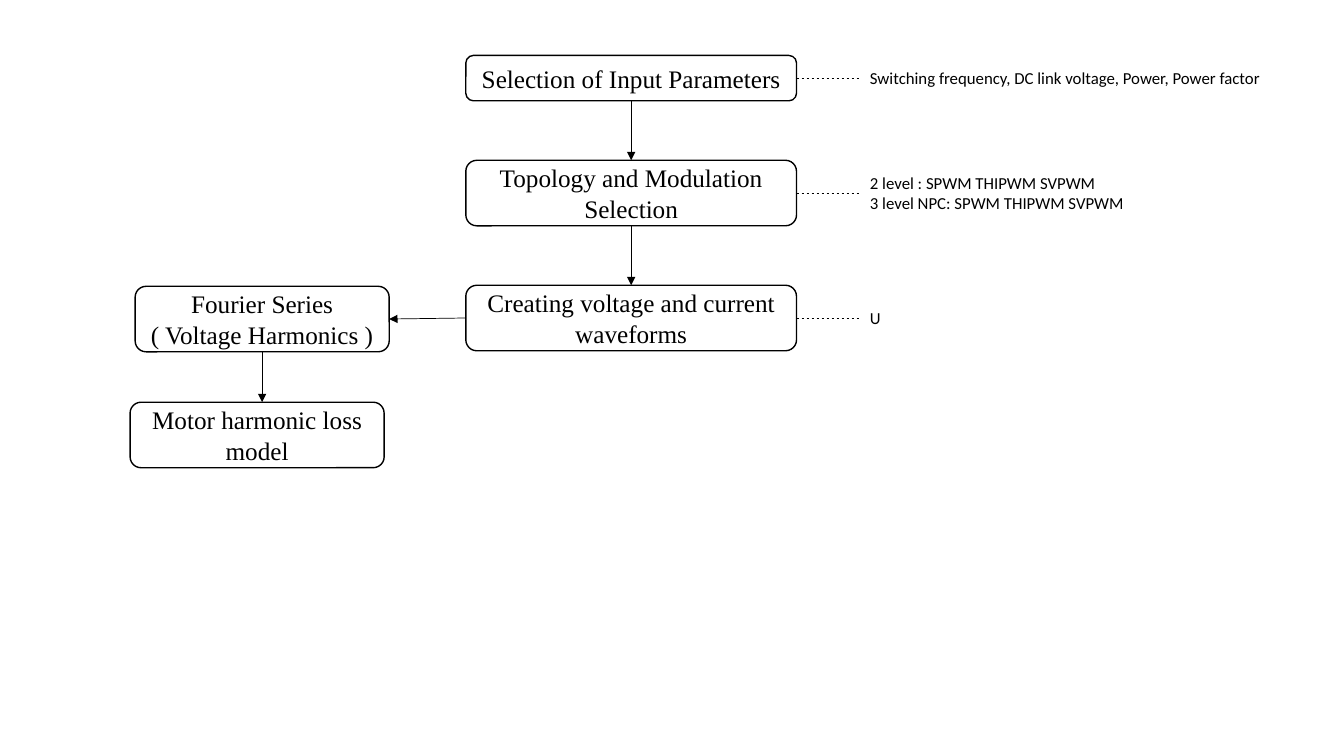
import pptx
import pptx.dml.color
import pptx.enum.dml
import pptx.enum.shapes
import pptx.enum.text
import pptx.oxml
import pptx.oxml.ns
import pptx.util
from pptx.util import Inches

COLORS = {"ink": "000000"}
TOP, LEFT, BOTTOM, RIGHT = range(4)


def ink():
    """Return the colour of lines and text."""
    return pptx.dml.color.RGBColor.from_string(COLORS["ink"])


def write_text(shape, text, font, size, align):
    """Fill a shape with one paragraph for each line of text."""
    frame = shape.text_frame
    frame.word_wrap = True
    frame.text = text
    for para in frame.paragraphs:
        para.alignment = align
        para.font.name = font
        para.font.size = pptx.util.Pt(size)
        para.font.color.rgb = ink()


def add_step(page, text, left, top, width, height=0.65):
    """Add a rounded, outlined step of the flow."""
    box = page.shapes.add_shape(
        pptx.enum.shapes.MSO_SHAPE.ROUNDED_RECTANGLE,
        Inches(left), Inches(top), Inches(width), Inches(height))
    box.shadow.inherit = False
    box.fill.background()
    box.line.color.rgb = ink()
    box.line.width = pptx.util.Pt(1)
    write_text(box, text, "Times New Roman", 18, pptx.enum.text.PP_ALIGN.CENTER)
    box.text_frame.vertical_anchor = pptx.enum.text.MSO_ANCHOR.MIDDLE
    return box


def add_line(page, start, start_side, end=None, end_side=None, drop=0, dashed=False):
    """Join two shapes, or run straight down from one by a drop in inches."""
    line = page.shapes.add_connector(pptx.enum.shapes.MSO_CONNECTOR.STRAIGHT, 0, 0, 0, 0)
    line.begin_connect(start, start_side)
    if end is None:
        line.end_x, line.end_y = line.begin_x, line.begin_y + Inches(drop)
    else:
        line.end_connect(end, end_side)
    line.line.color.rgb = ink()
    line.line.width = pptx.util.Pt(0.5)
    if dashed:
        line.line.dash_style = pptx.enum.dml.MSO_LINE.DASH
    else:
        arrow = pptx.oxml.parse_xml(
            f'<a:tailEnd {pptx.oxml.ns.nsdecls("a")} type="triangle"/>')
        line.line._get_or_add_ln().append(arrow)
    line._element.spPr.append(
        pptx.oxml.parse_xml(f'<a:effectLst {pptx.oxml.ns.nsdecls("a")}/>'))


def add_note(page, step, text):
    """Add a side note level with a step, tied to it by a dashed line."""
    height = Inches(0.1 + 0.2 * len(text.split("\n")))
    middle = step.top + step.height // 2
    box = page.shapes.add_textbox(Inches(8.53), middle - height // 2, Inches(4.33), height)
    write_text(box, text, "Calibri", 12, pptx.enum.text.PP_ALIGN.LEFT)
    box.text_frame.auto_size = pptx.enum.text.MSO_AUTO_SIZE.SHAPE_TO_FIT_TEXT
    add_line(page, step, RIGHT, box, LEFT, dashed=True)


def main():
    """Build the flow chart slide."""
    deck = pptx.Presentation()
    deck.slide_width, deck.slide_height = Inches(13.33), Inches(7.5)
    page = deck.slides.add_slide(deck.slide_layouts[6])

    inputs = add_step(page, "Selection of Input Parameters", 4.62, 0.55, 3.28, 0.45)
    topology = add_step(page, "Topology and Modulation Selection", 4.62, 1.59, 3.28)
    waveforms = add_step(page, "Creating voltage and current waveforms", 4.62, 2.83, 3.28)
    fourier = add_step(page, "Fourier Series\n( Voltage Harmonics )", 1.34, 2.84, 2.52)
    add_step(page, "Motor harmonic loss model", 1.29, 3.99, 2.52)

    add_line(page, inputs, BOTTOM, topology, TOP)
    add_line(page, topology, BOTTOM, waveforms, TOP)
    add_line(page, waveforms, LEFT, fourier, RIGHT)
    add_line(page, fourier, BOTTOM, drop=0.5)

    add_note(page, inputs, "Switching frequency, DC link voltage, Power, Power factor")
    add_note(page, topology, "2 level : SPWM THIPWM SVPWM\n3 level NPC: SPWM THIPWM SVPWM")
    add_note(page, waveforms, "U")
    deck.save("out.pptx")


if __name__ == "__main__":
    main()
